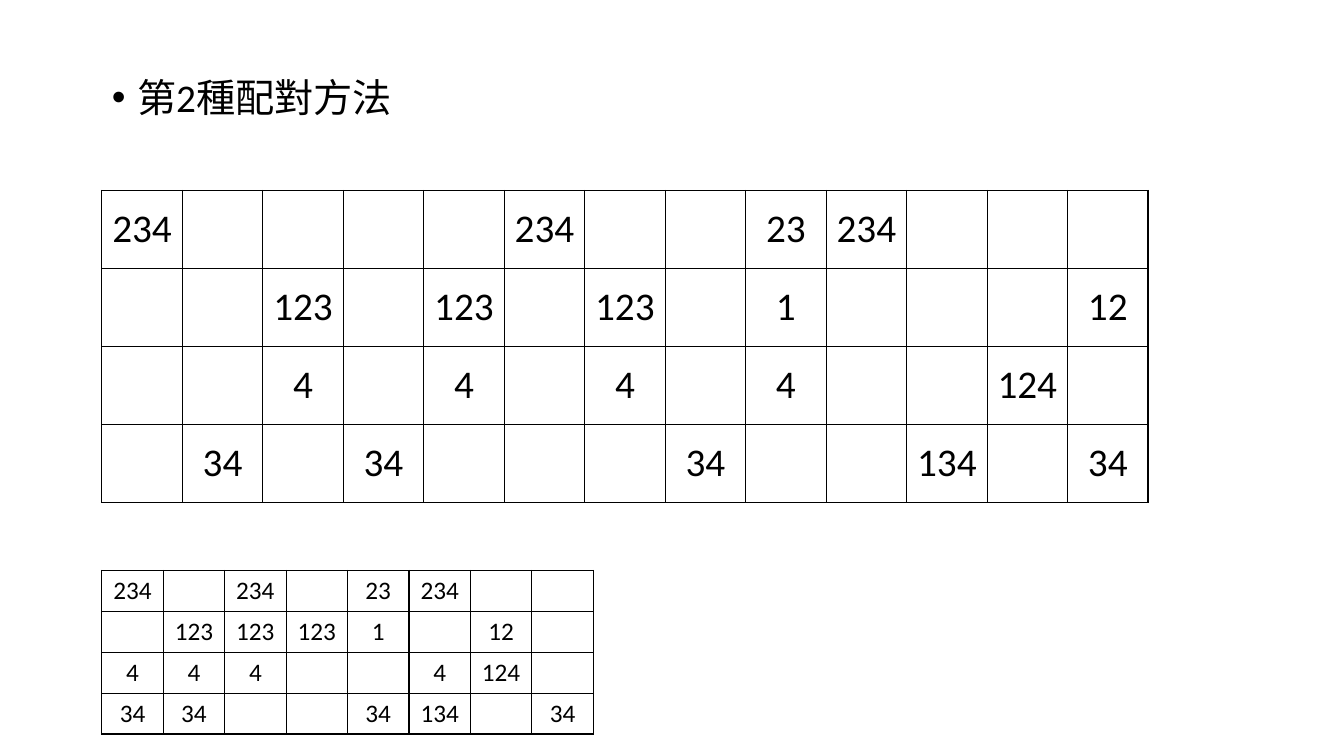
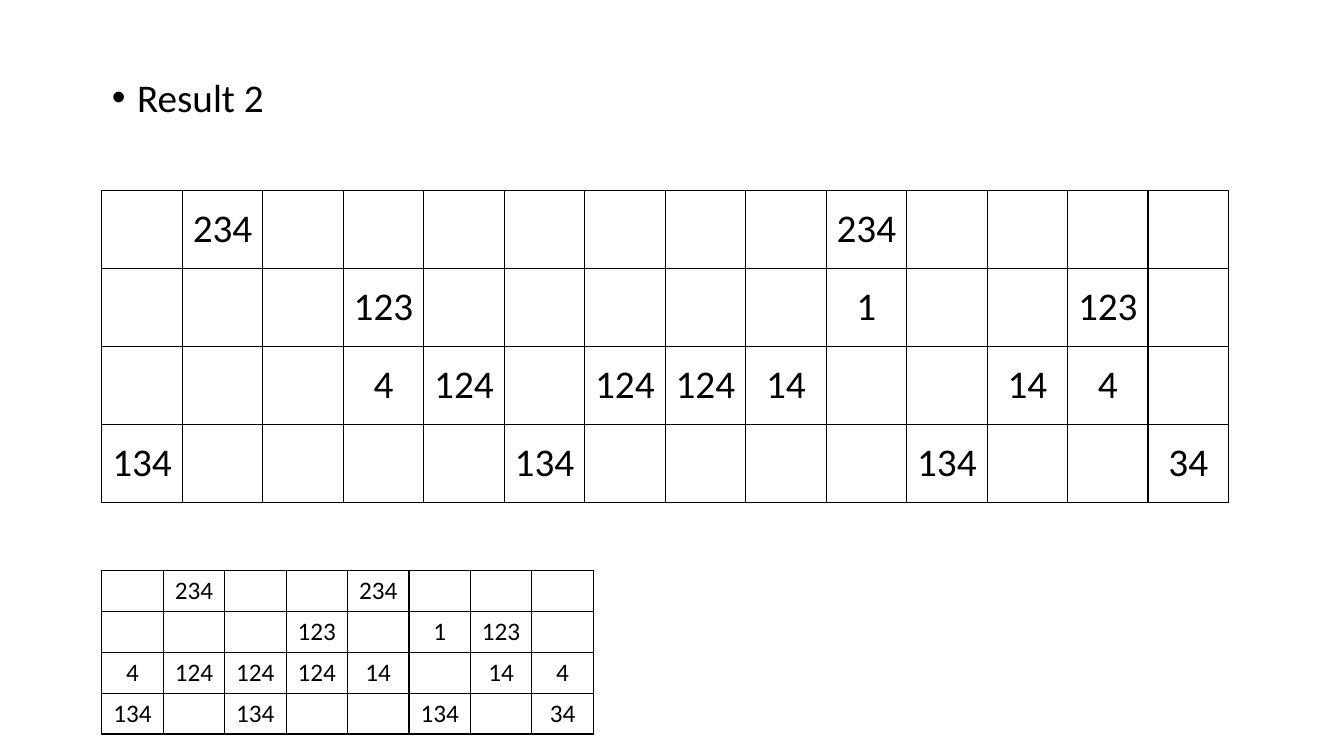
"""Build two slides of pairing tables."""
from dataclasses import dataclass

from lxml import etree
from pptx import Presentation
from pptx.dml.color import RGBColor
from pptx.enum import text
from pptx.oxml import ns
from pptx.util import Pt


@dataclass(frozen=True)
class Theme:
    """Colours and type sizes."""
    font: str = "Calibri"
    ink: str = "000000"
    head: int = 28
    large: int = 28
    small: int = 18
    line: int = 1


THEME = Theme()
EMPTY = "."
SLIDES = [
    ("第2種配對方法",
     ["234 . . . . 234 . . 23 234 . . .",
      ". . 123 . 123 . 123 . 1 . . . 12",
      ". . 4 . 4 . 4 . 4 . . 124 .",
      ". 34 . 34 . . . 34 . . 134 . 34"],
     ["234 . 234 . 23 234 . .",
      ". 123 123 123 1 . 12 .",
      "4 4 4 . . 4 124 .",
      "34 34 . . 34 134 . 34"]),
    ("Result 2",
     [". 234 . . . . . . . 234 . . . .",
      ". . . 123 . . . . . 1 . . 123 .",
      ". . . 4 124 . 124 124 14 . . 14 4 .",
      "134 . . . . 134 . . . . 134 . . 34"],
     [". 234 . . 234 . . .",
      ". . . 123 . 1 123 .",
      "4 124 124 124 14 . 14 4",
      "134 . 134 . . 134 . 34"]),
]
LEFT = 72.75
HEAD = (LEFT, 52.5, 720, 60)
LARGE = (136, 57.5, 55.75, THEME.large)
SMALL = (407.5, 43.9, 29.1, THEME.small)


def style(para, size):
    """Set the font of a paragraph."""
    para.font.name = THEME.font
    para.font.size = Pt(size)
    para.font.color.rgb = RGBColor.from_string(THEME.ink)


def frame(cell):
    """Draw the four borders of a cell."""
    props = cell._tc.get_or_add_tcPr()
    for side in ("lnL", "lnR", "lnT", "lnB"):
        line = etree.SubElement(props, ns.qn(f"a:{side}"), w=str(Pt(THEME.line)))
        fill = etree.SubElement(line, ns.qn("a:solidFill"))
        etree.SubElement(fill, ns.qn("a:srgbClr"), val=THEME.ink)
    cell.fill.background()


def add_head(slide, words):
    """Fill the body placeholder with a bulleted heading."""
    title, body = slide.placeholders
    title.element.getparent().remove(title.element)
    body.left, body.top, body.width, body.height = map(Pt, HEAD)
    box = body.text_frame
    box.text = words
    box.auto_size = text.MSO_AUTO_SIZE.NONE
    para = box.paragraphs[0]
    para.line_spacing = 0.9
    para.space_before = Pt(10)
    style(para, THEME.head)
    props = para._p.get_or_add_pPr()
    props.set("marL", str(Pt(18)))
    props.set("indent", str(-Pt(18)))


def add_grid(slide, lines, top, wide, high, size):
    """Add a bordered table of equal cells."""
    rows = [line.split() for line in lines]
    count = len(rows[0])
    table = slide.shapes.add_table(
        len(rows), count, Pt(LEFT), Pt(top),
        Pt(wide * count), Pt(high * len(rows))).table
    table.first_row = table.horz_banding = False
    for col in table.columns:
        col.width = Pt(wide)
    for row, words in zip(table.rows, rows):
        row.height = Pt(high)
        for cell, word in zip(row.cells, words):
            frame(cell)
            cell.vertical_anchor = text.MSO_ANCHOR.MIDDLE
            if word != EMPTY:
                cell.text = word
                para = cell.text_frame.paragraphs[0]
                para.alignment = text.PP_ALIGN.CENTER
                style(para, size)


deck = Presentation()
deck.slide_width, deck.slide_height = Pt(960), Pt(540)
for words, large, small in SLIDES:
    slide = deck.slides.add_slide(deck.slide_layouts[1])
    add_grid(slide, large, *LARGE)
    add_grid(slide, small, *SMALL)
    add_head(slide, words)
deck.save("out.pptx")
